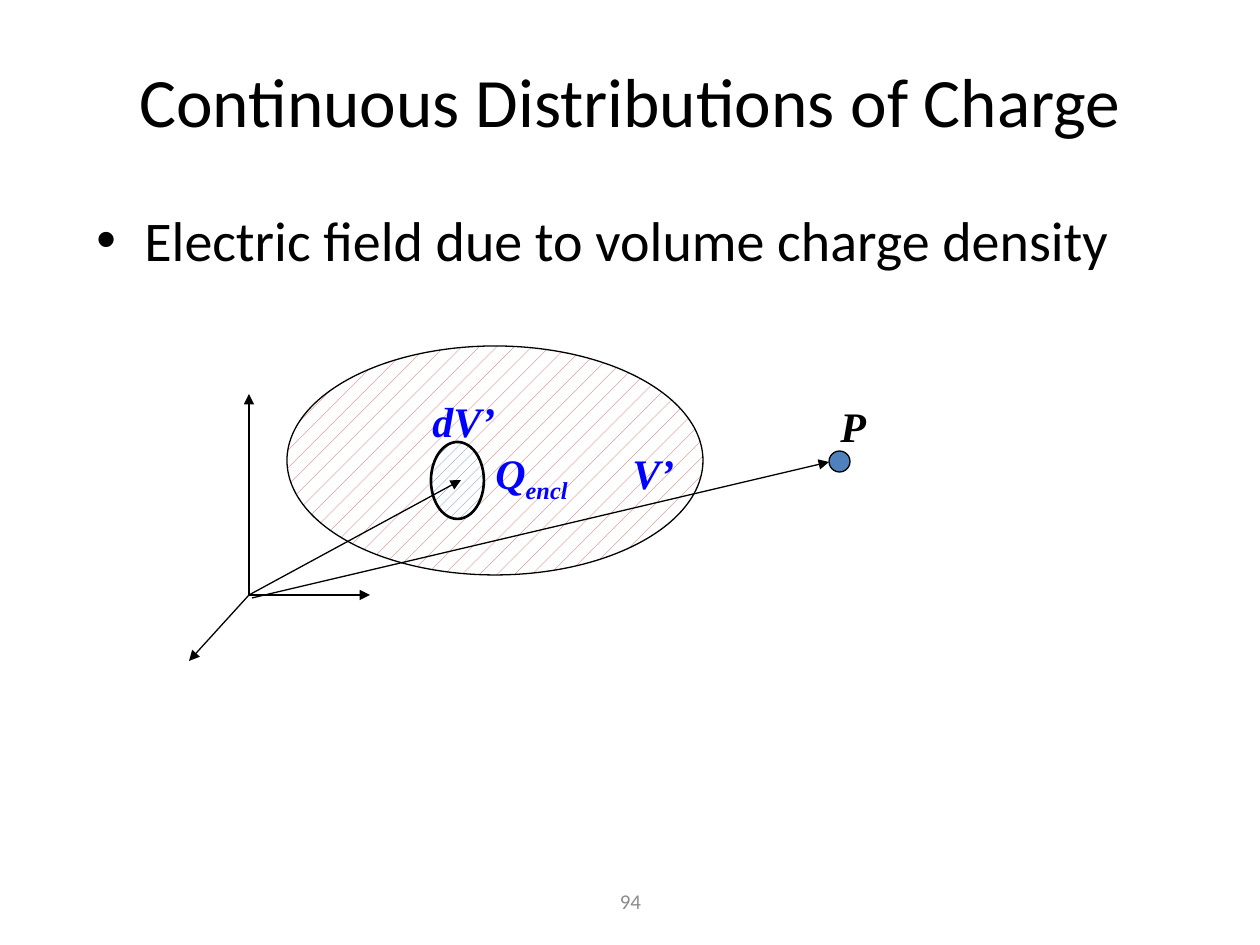
from lxml import etree
from pptx import Presentation
from pptx import util as u
from pptx.dml.color import RGBColor
from pptx.enum import dml, shapes, text
from pptx.oxml.ns import qn

PX_PER_INCH = 126
BLACK, WHITE, BLUE = "000000", "FFFFFF", "0000FF"
STEEL, BRICK, GREY = "4F81BD", "C0504D", "8C8C8C"


def px(length):
    return u.Emu(round(length * u.Inches(1) / PX_PER_INCH))


def color(value):
    return RGBColor.from_string(value)


def add_box(page, left, top, width, height, wrap=True,
            anchor=text.MSO_ANCHOR.TOP, align=text.PP_ALIGN.LEFT):
    """Add an empty text box and return its first paragraph."""
    box = page.shapes.add_textbox(px(left), px(top), px(width), px(height))
    frame = box.text_frame
    frame.word_wrap = wrap
    frame.vertical_anchor = anchor
    para = frame.paragraphs[0]
    para.alignment = align
    return para


def add_run(para, words, size, fill=BLACK, name="Calibri", strong=False):
    span = para.add_run()
    span.text = words
    font = span.font
    font.name, font.size = name, u.Pt(size)
    font.bold = font.italic = strong
    font.color.rgb = color(fill)
    return span


def add_label(page, left, top, width, words, fill=BLUE, subscript=None):
    """Add a bold italic symbol, with an optional subscript."""
    para = add_box(page, left, top, width, 63, wrap=False)
    style = dict(size=24, fill=fill, name="Times New Roman", strong=True)
    add_run(para, words, **style)
    if subscript:
        span = add_run(para, subscript, **style)
        span.font._element.set("baseline", "-25000")


def add_bullet(para, indent):
    props = para._p.get_or_add_pPr()
    props.set("marL", str(px(indent)))
    props.set("indent", str(-px(indent)))
    etree.SubElement(props, qn("a:buFont"), typeface="Arial")
    etree.SubElement(props, qn("a:buChar"), char="•")


def add_ellipse(page, left, top, width, height, fill, pattern=None, weight=0.75):
    ellipse = page.shapes.add_shape(shapes.MSO_SHAPE.OVAL, px(left), px(top),
                                    px(width), px(height))
    ellipse.shadow.inherit = False
    if pattern is None:
        ellipse.fill.solid()
        ellipse.fill.fore_color.rgb = color(fill)
    else:
        ellipse.fill.patterned()
        ellipse.fill.pattern = pattern
        ellipse.fill.fore_color.rgb = color(fill)
        ellipse.fill.back_color.rgb = color(WHITE)
    ellipse.line.color.rgb = color(BLACK)
    ellipse.line.width = u.Pt(weight)


def add_arrow(page, start, end):
    arrow = page.shapes.add_connector(shapes.MSO_CONNECTOR.STRAIGHT,
                                      *map(px, start + end))
    arrow.line.color.rgb = color(BLACK)
    arrow.line.width = u.Pt(0.75)
    etree.SubElement(arrow.line._get_or_add_ln(), qn("a:tailEnd"), type="triangle")
    etree.SubElement(arrow._element.spPr, qn("a:effectLst"))


def main():
    deck = Presentation()
    deck.slide_width, deck.slide_height = px(1260), px(945)
    page = deck.slides.add_slide(deck.slide_layouts[6])
    centred = dict(anchor=text.MSO_ANCHOR.MIDDLE, align=text.PP_ALIGN.CENTER)

    # Page number, title and bullet
    add_run(add_box(page, 431, 876, 399, 50, **centred), "94", 12, GREY)
    add_run(add_box(page, 94, 21, 1072, 158, **centred),
            "Continuous Distributions of Charge", 39.6)
    para = add_box(page, 84, 199, 1071, 567)
    add_bullet(para, 48)
    add_run(para, "Electric field due to volume charge density", 32)

    # Charged volume and its element
    add_ellipse(page, 287, 346, 416, 229, BRICK, dml.MSO_PATTERN.PERCENT_5)
    add_ellipse(page, 431, 442, 53, 77, STEEL, dml.MSO_PATTERN.PERCENT_20, 1.5)
    add_label(page, 483, 441, 105, "Q", subscript="encl")

    # Axes and the vector to the element
    origin = (249, 595)
    for tip in ((249, 394), (370, 595), (189, 661), (461, 480)):
        add_arrow(page, origin, tip)
    add_label(page, 420, 389, 88, "dV’")
    add_label(page, 620, 441, 67, "V’")

    # Field point and the vector to it
    add_arrow(page, (252, 598), (829, 462))
    add_ellipse(page, 829, 451, 21, 21, STEEL)
    add_label(page, 828, 394, 50, "P", BLACK)

    deck.save("out.pptx")


if __name__ == "__main__":
    main()
